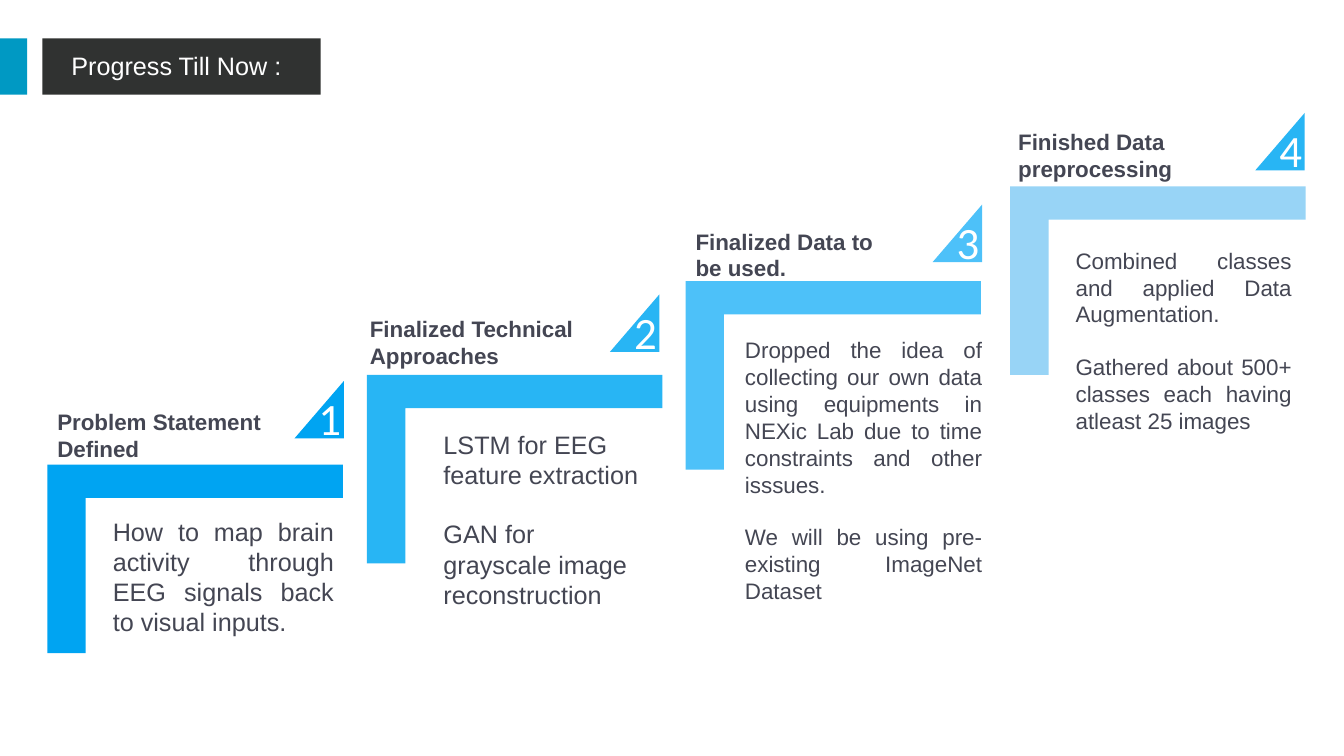
from pptx import Presentation
from pptx.dml.color import RGBColor
from pptx.enum.shapes import MSO_SHAPE
from pptx.enum.text import PP_ALIGN
from pptx.util import Inches, Pt

RECT, TRIANGLE = MSO_SHAPE.RECTANGLE, MSO_SHAPE.ISOSCELES_TRIANGLE
LEFT, JUSTIFY = PP_ALIGN.LEFT, PP_ALIGN.JUSTIFY

COLORS = {
    "teal": "0099C3", "dark": "303231", "white": "FFFFFF", "text": "444653",
    "blue1": "00A4F2", "blue2": "28B5F4", "blue3": "4DC1F9", "blue4": "98D4F6",
}
BRACKET_W, BRACKET_H, STEM_W, BAR_H = 2.93, 1.87, 0.38, 0.33
FLAG_W, FLAG_H = 0.57, 0.49

# Bracket corner; heading, body and flag offsets are measured from it
STEPS = [
    {"corner": (0.47, 4.61), "bracket": "blue1", "flag": "blue1",
     "flag_at": (2.41, -0.79), "head_at": (0, -0.61), "head_w": 2.44,
     "head": ["Problem Statement Defined"],
     "body_at": (0.55, 0.46), "body_size": (2.39, 1.31), "pt": 18, "align": JUSTIFY,
     "body": ["How to map brain activity through EEG signals back to visual inputs."]},
    {"corner": (3.64, 3.72), "bracket": "blue2", "flag": "blue2",
     "flag_at": (2.37, -0.76), "head_at": (-0.07, -0.64), "head_w": 2.48,
     "head": ["Finalized Technical Approaches"],
     "body_at": (0.66, 0.49), "body_size": (2.22, 1.92), "pt": 18, "align": LEFT,
     "body": ["LSTM for EEG feature extraction",
              "GAN for grayscale image reconstruction"]},
    {"corner": (6.8, 2.79), "bracket": "blue3", "flag": "blue3",
     "flag_at": (2.41, -0.72), "head_at": (0, -0.58), "head_w": 2.01,
     "head": ["Finalized Data to be used."],
     "body_at": (0.49, 0.5), "body_size": (2.55, 2.79), "pt": 16, "align": JUSTIFY,
     "body": ["Dropped the idea of collecting our own data using equipments in "
              "NEXic Lab due to time constraints and other isssues.",
              "We will be using pre-existing ImageNet Dataset"]},
    {"corner": (10.02, 1.85), "bracket": "blue4", "flag": "blue2",
     "flag_at": (2.39, -0.69), "head_at": (-0.02, -0.63), "head_w": 3.49,
     "head": ["Finished Data", "preprocessing"],
     "body_at": (0.55, 0.55), "body_size": (2.34, 1.98), "pt": 16, "align": JUSTIFY,
     "body": ["Combined classes and applied Data Augmentation.",
              "Gathered about 500+ classes each having atleast 25 images"]},
]


def rgb(name):
    return RGBColor.from_string(COLORS[name])


def paint(sp, color):
    sp.shadow.inherit = False
    sp.fill.solid()
    sp.fill.fore_color.rgb = rgb(color)
    sp.line.fill.background()


def add_block(slide, kind, x, y, w, h, color):
    sp = slide.shapes.add_shape(kind, Inches(x), Inches(y), Inches(w), Inches(h))
    paint(sp, color)
    return sp


def add_text(slide, x, y, w, h, lines, size, color="text", font="Arial",
             bold=False, align=LEFT, gap=0):
    box = slide.shapes.add_textbox(Inches(x), Inches(y), Inches(w), Inches(h))
    tf = box.text_frame
    tf.word_wrap = True
    for i, line in enumerate(lines):
        p = tf.paragraphs[0] if i == 0 else tf.add_paragraph()
        p.alignment = align
        if i:
            p.space_before = Pt(gap)
        r = p.add_run()
        r.text = line
        for key, value in {"name": font, "size": Pt(size), "bold": bold}.items():
            setattr(r.font, key, value)
        r.font.color.rgb = rgb(color)


def add_title(slide, x, y, h):
    add_block(slide, RECT, x, y, 0.27, h, "teal")
    add_block(slide, RECT, x + 0.42, y, 2.76, h, "dark")
    add_text(slide, x + 0.61, y + 0.07, 2.5, 0.4, ["Progress Till Now :"], 18, "white")


def add_bracket(slide, x, y, color):
    right, bottom = x + BRACKET_W, y + BRACKET_H
    inner_x, inner_y = x + STEM_W, y + BAR_H
    outline = [(right, y), (right, inner_y), (inner_x, inner_y),
               (inner_x, bottom), (x, bottom)]
    builder = slide.shapes.build_freeform(Inches(x), Inches(y))
    builder.add_line_segments([(Inches(px), Inches(py)) for px, py in outline])
    paint(builder.convert_to_shape(), color)


def add_flag(slide, x, y, number, color):
    sp = add_block(slide, TRIANGLE, x, y, FLAG_W, FLAG_H, color)
    sp.adjustments[0] = 0
    sp.rotation = 270
    add_text(slide, x + 0.18, y + 0.01, 0.47, 0.64, [str(number)], 32,
             "white", "Calibri")


def add_step(slide, number, step):
    x, y = step["corner"]
    add_bracket(slide, x, y, step["bracket"])

    # Numbered flag
    dx, dy = step["flag_at"]
    add_flag(slide, x + dx, y + dy, number, step["flag"])

    # Heading above the bar
    dx, dy = step["head_at"]
    add_text(slide, x + dx, y + dy, step["head_w"], 0.64, step["head"], 16, bold=True)

    # Body inside the bracket, one line of space between paragraphs
    dx, dy = step["body_at"]
    add_text(slide, x + dx, y + dy, *step["body_size"], step["body"], step["pt"],
             align=step["align"], gap=step["pt"] * 1.15)


def main():
    prs = Presentation()
    prs.slide_width, prs.slide_height = Inches(13.33), Inches(7.5)
    slide = prs.slides.add_slide(prs.slide_layouts[6])
    add_title(slide, 0, 0.38, 0.56)
    for number, step in enumerate(STEPS, 1):
        add_step(slide, number, step)
    prs.save("out.pptx")


if __name__ == "__main__":
    main()
